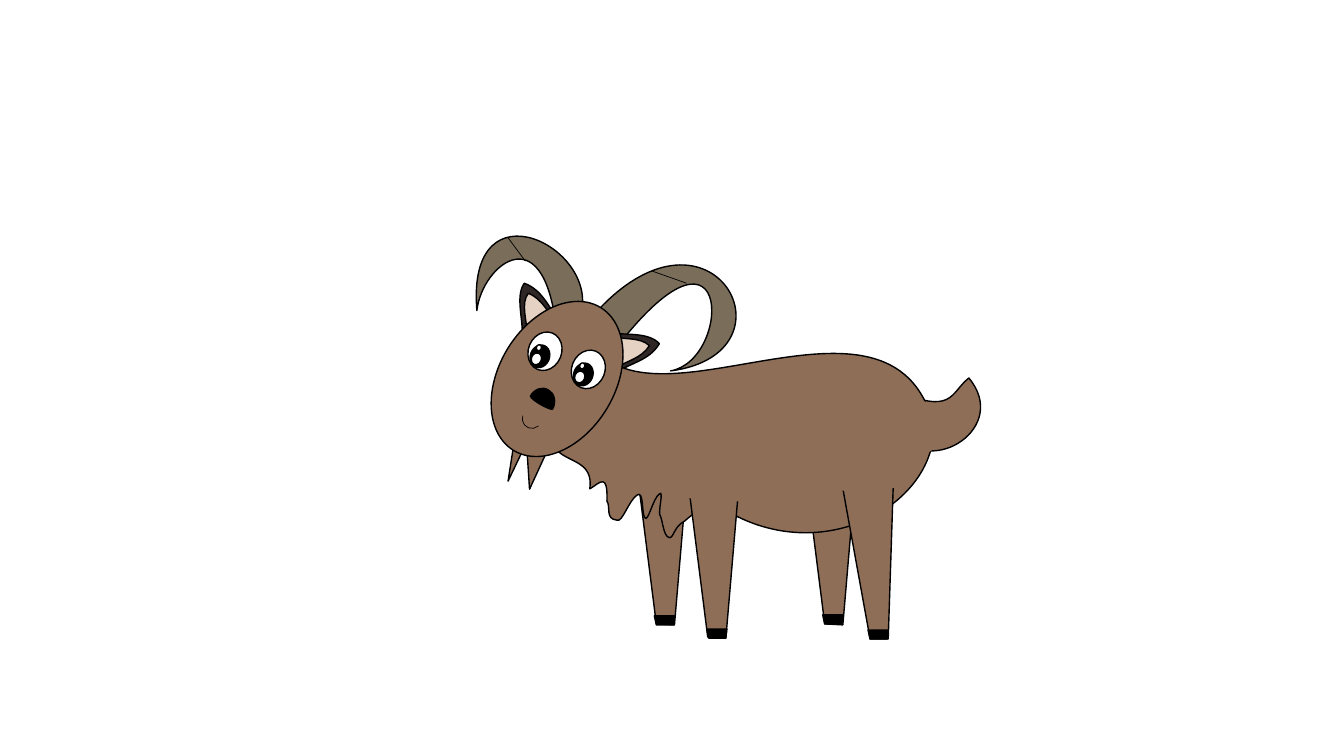
import math

import lxml.etree
import pptx
import pptx.dml.color
import pptx.enum.shapes
import pptx.oxml
import pptx.oxml.ns
import pptx.util
from pptx.util import Inches

SHAPES = pptx.enum.shapes.MSO_SHAPE
COAT, HORN = "8F6E57", "7A6D59"
EAR_RIM, EAR_INSIDE = "2F2626", "E6D2C2"
BLACK, WHITE = "000000", "FFFFFF"
CURVE_STEPS = 40

# Outlines: a pair is a corner, six numbers are a cubic curve (two controls, end)
LEFT_EAR = [(5.18, 3.34), (5.19, 3.16, 5.11, 2.94, 5.2, 2.81),
            (5.39, 2.88, 5.44, 3.06, 5.56, 3.19), (5.18, 3.34)]
LEFT_EAR_INSIDE = [(5.23, 3.33), (5.23, 3.19, 5.16, 3.01, 5.24, 2.91),
                   (5.39, 2.97, 5.43, 3.11, 5.53, 3.21), (5.23, 3.33)]
RIGHT_EAR = [(6.03, 3.3), (6.2, 3.33, 6.43, 3.29, 6.54, 3.41),
             (6.44, 3.58, 6.25, 3.6, 6.11, 3.7), (6.03, 3.3)]
RIGHT_EAR_INSIDE = [(6.03, 3.34), (6.17, 3.37, 6.35, 3.34, 6.44, 3.43),
                    (6.36, 3.56, 6.21, 3.58, 6.09, 3.66), (6.03, 3.34)]
RIGHT_HORN = [(6.65, 3.68), (7.96, 3.51, 7.07, 1.83, 5.91, 3.1), (5.84, 3.28),
              (6, 3.6), (7.27, 1.85, 7.28, 3.57, 6.65, 3.68)]
LEFT_HORN = [(4.73, 3.08), (4.62, 1.77, 5.99, 2.47, 5.75, 3.15), (5.75, 3.4),
             (5.53, 3.4), (5.44, 2.08, 4.78, 2.62, 4.73, 3.08)]
TAIL = [(8.86, 3.86), (9.46, 4.13, 9.42, 3.9, 9.61, 3.75),
        (10.02, 4.24, 9.24, 4.74, 8.91, 4.31), (8.86, 3.86)]
BODY = [(5.54, 3.58), (5.82, 3.32),
        (6.35, 4.45, 8.83, 2.58, 9.26, 4.21),
        (9.3, 4.98, 8.2, 5.63, 7.23, 5.08),
        (6.89, 5.13, 6.97, 5.01, 6.79, 5.17),
        (6.68, 5.22, 6.68, 5.36, 6.63, 5.33),
        (6.58, 5.31, 6.57, 5.15, 6.55, 5.12),
        (6.52, 5.09, 6.59, 4.85, 6.54, 4.9),
        (6.48, 4.94, 6.43, 5.17, 6.4, 5.14),
        (6.36, 5.11, 6.39, 4.86, 6.32, 4.91),
        (6.24, 4.96, 6.17, 5.19, 6.12, 5.16),
        (6, 5.15, 6.06, 5.03, 6.02, 4.97),
        (6.03, 4.68, 5.95, 4.79, 5.85, 4.85),
        (5.89, 4.57, 5.63, 4.59, 5.52, 4.46), (5.54, 3.58)]
NOSE = [(5.26, 3.93), (5.3, 3.86, 5.38, 3.83, 5.44, 3.87),
        (5.5, 3.9, 5.52, 3.99, 5.48, 4.06), (5.45, 4.07, 5.27, 3.97, 5.26, 3.93)]
HIND_LEG = [(8.36, 4.85), (8.86, 4.8), (8.81, 6.34), (8.63, 6.34), (8.36, 4.85)]
LEG = [(0, 0.02), (0.5, 0), (0.37, 1.53), (0.19, 1.52), (0, 0.02)]
HOOF = [(0, 0), (0.2, 0), (0.19, 0.09), (0.02, 0.09), (0, 0)]


def rgb(color):
    return pptx.dml.color.RGBColor.from_string(color)


def paint(shape, fill, line_width):
    shape.shadow.inherit = False
    if fill:
        shape.fill.solid()
        shape.fill.fore_color.rgb = rgb(fill)
    else:
        shape.fill.background()
    if line_width:
        shape.line.color.rgb = rgb(BLACK)
        shape.line.width = pptx.util.Pt(line_width)
    else:
        shape.line.fill.background()


def turn(point, degrees):
    x, y = point
    cos, sin = math.cos(math.radians(degrees)), math.sin(math.radians(degrees))
    return x * cos - y * sin, x * sin + y * cos


def curve_points(start, first, second, end):
    for step in range(1, CURVE_STEPS + 1):
        t = step / CURVE_STEPS
        blend = ((1 - t) ** 3, 3 * t * (1 - t) ** 2, 3 * t * t * (1 - t), t ** 3)
        yield tuple(sum(b * point[axis]
                        for b, point in zip(blend, (start, first, second, end)))
                    for axis in (0, 1))


def add_outline(slide, outline, fill, left=0, top=0, rotation=0):
    # Turn the outline upright, so that the shape's rotation turns it back
    segments = [[turn((left + x, top + y), -rotation)
                 for x, y in zip(part[::2], part[1::2])] for part in outline]
    points = list(segments[0])
    for segment in segments[1:]:
        points += segment if len(segment) == 1 else curve_points(points[-1], *segment)
    lows = [min(axis) for axis in zip(*points)]
    highs = [max(axis) for axis in zip(*points)]
    center = [(low + high) / 2 for low, high in zip(lows, highs)]
    origin = [Inches(new - old) for new, old in zip(turn(center, rotation), center)]

    # The sampled points set the frame
    start, *rest = [tuple(map(Inches, point)) for point in points]
    builder = slide.shapes.build_freeform(*start)
    builder.add_line_segments(rest, close=True)
    shape = builder.convert_to_shape(*origin)
    shape.rotation = rotation
    paint(shape, fill, 1)

    # True curves take the place of the sampled points
    qn = pptx.oxml.ns.qn
    contour = shape._element.find(".//" + qn("a:path"))
    for command in list(contour):
        contour.remove(command)
    for index, segment in enumerate(segments):
        tag = "a:moveTo" if index == 0 else {1: "a:lnTo", 3: "a:cubicBezTo"}[len(segment)]
        command = lxml.etree.SubElement(contour, qn(tag))
        for x, y in segment:
            lxml.etree.SubElement(command, qn("a:pt"), x=str(Inches(x - lows[0])),
                                  y=str(Inches(y - lows[1])))
    lxml.etree.SubElement(contour, qn("a:close"))
    return shape


def add_preset(slide, preset, box, fill, rotation=0, line_width=1):
    shape = slide.shapes.add_shape(preset, *map(Inches, box))
    shape.rotation = rotation
    paint(shape, fill, line_width)
    return shape


def add_horn_ridge(slide, *ends):
    ridge = slide.shapes.add_connector(
        pptx.enum.shapes.MSO_CONNECTOR.STRAIGHT, *map(Inches, ends))
    ridge.line.color.rgb = rgb(BLACK)
    ridge.line.width = pptx.util.Pt(0.5)
    properties = ridge._element.find(pptx.oxml.ns.qn("p:spPr"))
    properties.append(pptx.oxml.parse_xml(
        f"<a:effectLst {pptx.oxml.ns.nsdecls('a')}/>"))


def add_ear(slide, rim, inside, rotation):
    slide.shapes.add_group_shape([
        add_outline(slide, rim, EAR_RIM, rotation=rotation),
        add_outline(slide, inside, EAR_INSIDE, rotation=rotation)])


def add_eye(slide, left, top):
    # Eyeball, pupil, large glint, small glint
    parts = ((0, 0, 0.33, 0.39, WHITE), (0.02, 0.13, 0.19, 0.23, BLACK),
             (0.03, 0.21, 0.1, 0.12, WHITE), (0.08, 0.13, 0.05, 0.06, WHITE))
    slide.shapes.add_group_shape([
        add_preset(slide, SHAPES.OVAL, (left + dx, top + dy, width, height), fill, 21.9)
        for dx, dy, width, height, fill in parts])


def main():
    presentation = pptx.Presentation()
    presentation.slide_width = Inches(13.33)
    presentation.slide_height = Inches(7.5)
    slide = presentation.slides.add_slide(presentation.slide_layouts[6])

    # Ears and the horn behind the head
    add_ear(slide, LEFT_EAR, LEFT_EAR_INSIDE, 338.9)
    add_outline(slide, RIGHT_HORN, HORN, rotation=78.2)
    add_ear(slide, RIGHT_EAR, RIGHT_EAR_INSIDE, 79.1)

    # Far legs, tail, beard and body
    for left in (6.32, 7.99):
        add_outline(slide, LEG, COAT, left, 4.67)
    add_outline(slide, TAIL, COAT)
    add_preset(slide, SHAPES.ISOSCELES_TRIANGLE, (5.13, 4.11, 0.38, 0.75), COAT, 190.5)
    add_preset(slide, SHAPES.ISOSCELES_TRIANGLE, (5.04, 4.04, 0.22, 0.75), COAT, 197.2)
    add_outline(slide, BODY, COAT, rotation=317.5)

    # Front horn, head and horn ridges
    add_outline(slide, LEFT_HORN, HORN)
    add_preset(slide, SHAPES.OVAL, (4.95, 2.93, 1.15, 1.66), COAT, 31.3)
    add_horn_ridge(slide, 6.47, 2.69, 6.81, 2.81)
    add_horn_ridge(slide, 5.04, 2.36, 5.21, 2.59)

    # Near legs and all hooves
    add_outline(slide, LEG, COAT, 6.83, 4.8)
    add_outline(slide, HIND_LEG, COAT, rotation=356.8)
    for left, top in ((8.61, 6.25), (8.16, 6.1), (7.01, 6.24), (6.49, 6.11)):
        add_outline(slide, HOOF, BLACK, left, top)

    # Face
    add_outline(slide, NOSE, BLACK, rotation=30)
    smile = add_preset(slide, SHAPES.ARC, (5.18, 4.06, 0.19, 0.19), None, 170.7, 0.5)
    smile.adjustments[0] = 141.57
    smile.adjustments[1] = 17.32
    add_eye(slide, 5.67, 3.47)
    add_eye(slide, 5.24, 3.29)

    # Coat patches that blend legs and tail into the body
    for patch in ((6.77, 4.75, 0.72, 0.24), (8.21, 4.65, 0.72, 0.24),
                  (8.91, 3.98, 0.45, 0.52)):
        add_preset(slide, SHAPES.OVAL, patch, COAT, line_width=0)

    presentation.save("out.pptx")


if __name__ == "__main__":
    main()
